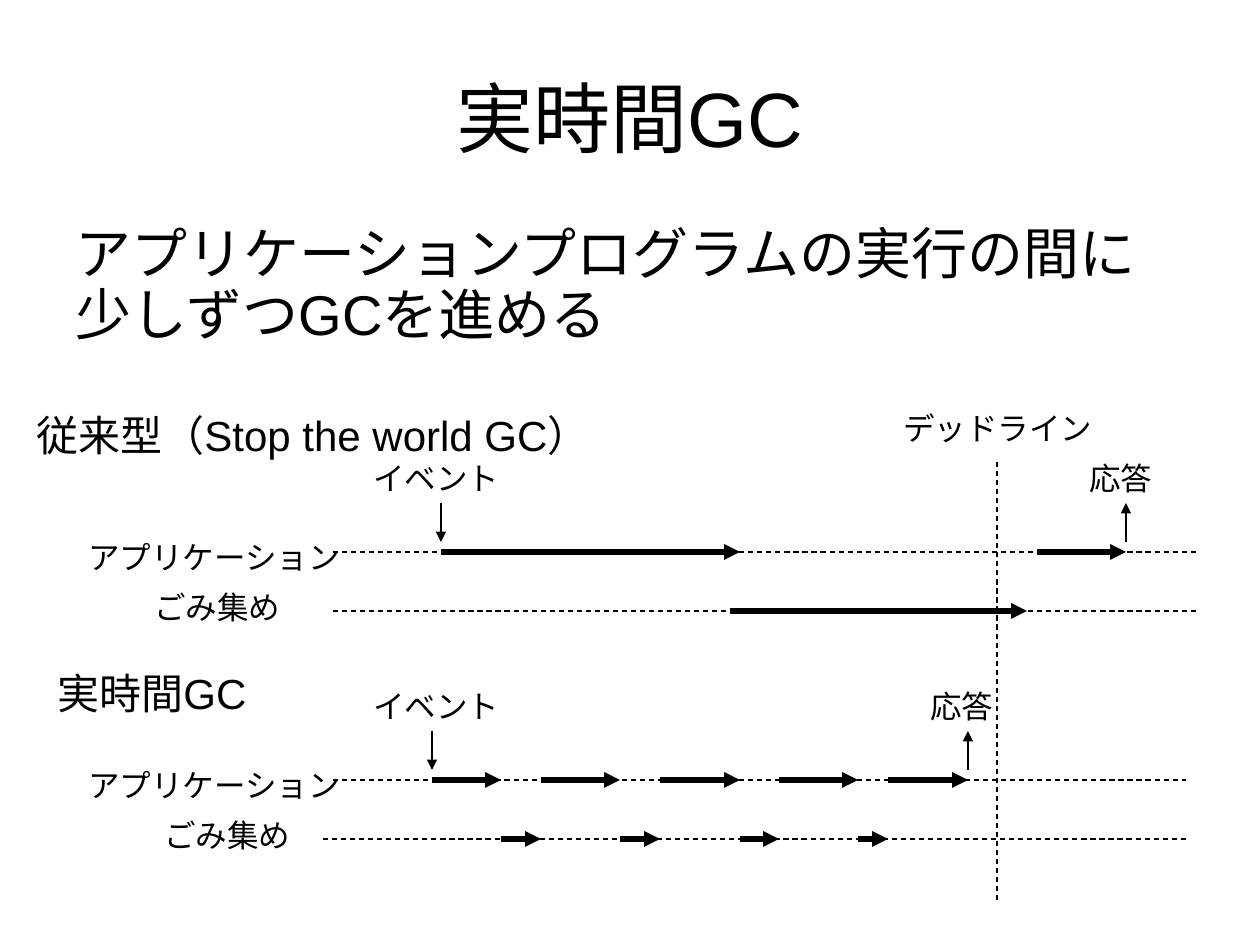
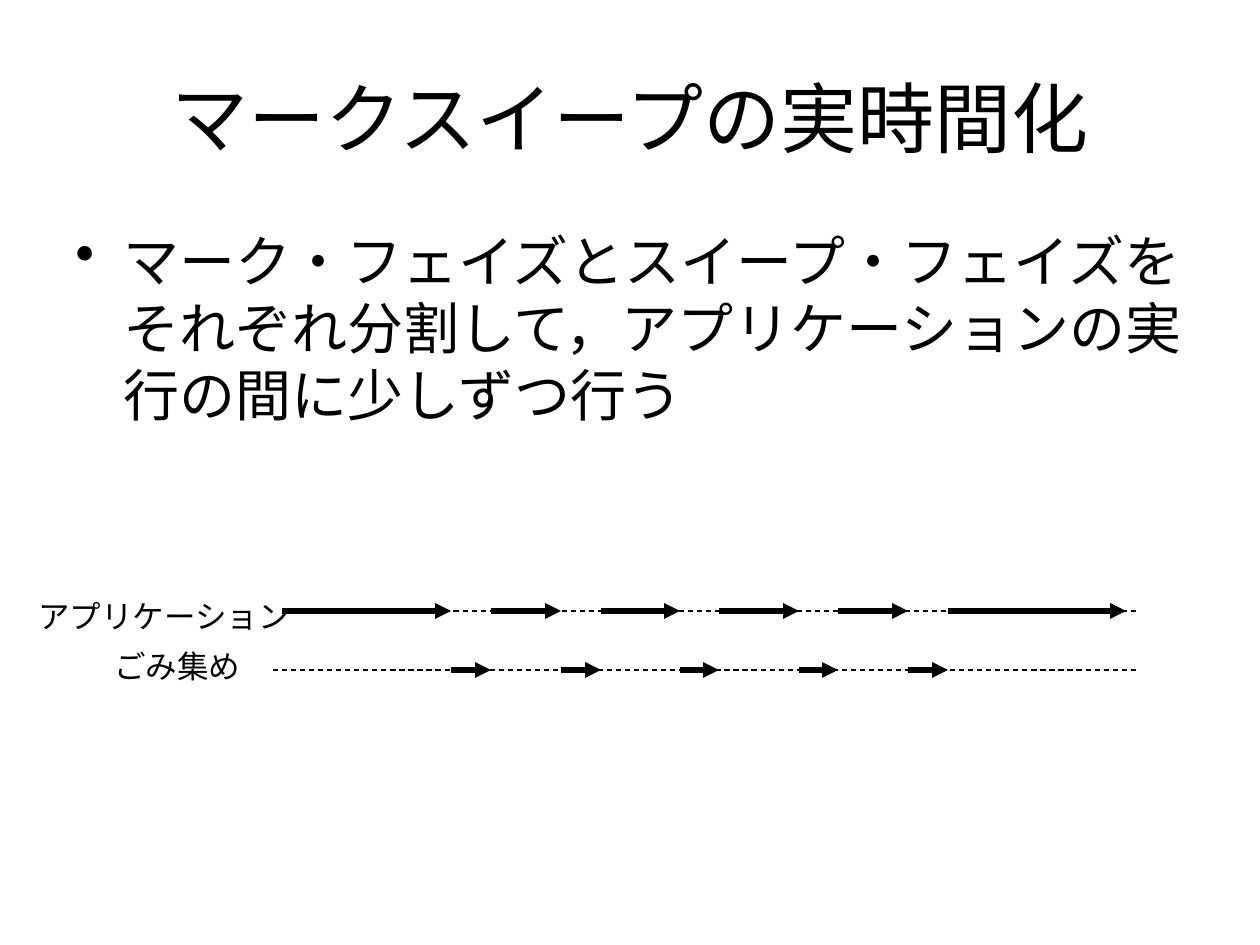
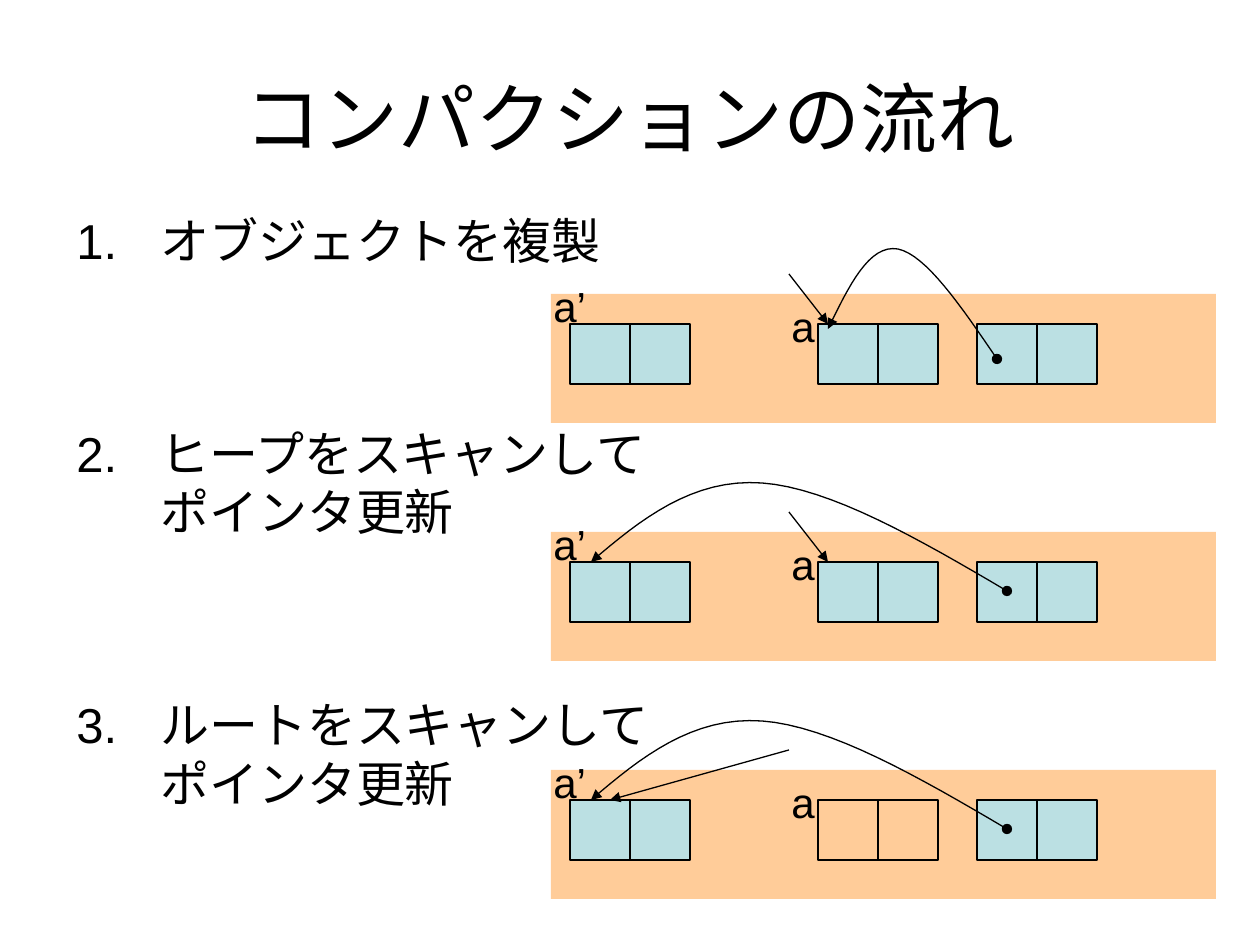
"""Build three slides on real-time garbage collection and compaction."""
from lxml.etree import SubElement as Sub
from pptx import Presentation
from pptx.dml.color import RGBColor as RGB
from pptx.enum.dml import MSO_LINE_DASH_STYLE as Dash
from pptx.enum.shapes import MSO_CONNECTOR as Conn, MSO_SHAPE as Shape
from pptx.enum.text import MSO_ANCHOR as Anchor, MSO_AUTO_SIZE as Auto, PP_ALIGN as Align
from pptx.oxml.ns import qn
from pptx.util import Inches, Pt

PX = 914400 // 126
FONT = "Arial"
HUES = {"ink": "000000", "heap": "FFCC99", "cell": "BBE0E3"}
INK = RGB.from_string(HUES["ink"])


def write(box, text, size, wrap=False):
    """Fill a text shape and format its runs."""
    frame = box.text_frame
    frame.text = text
    frame.word_wrap = wrap
    frame.auto_size = Auto.NONE
    for para in frame.paragraphs:
        for run in para.runs:
            font = run.font
            font.name, font.size = FONT, Pt(size)
            font.color.rgb = INK
            Sub(run._r.get_or_add_rPr(), qn("a:ea"), typeface=FONT)
    return frame


def link(slide, x1, y1, x2, y2, weight=0.75, dash=False):
    """Draw a dashed line or a solid arrow."""
    wire = slide.shapes.add_connector(Conn.STRAIGHT, x1 * PX, y1 * PX, x2 * PX, y2 * PX)
    wire.line.color.rgb = INK
    wire.line.width = Pt(weight)
    props = wire.element.spPr
    if dash:
        wire.line.dash_style = Dash.DASH
    else:
        Sub(props.find(qn("a:ln")), qn("a:tailEnd"), type="triangle")
    Sub(props, qn("a:effectLst"))


deck = Presentation()
deck.slide_width, deck.slide_height = Inches(10), Inches(7.5)

pages = []
for name in ["実時間GC", "マークスイープの実時間化", "コンパクションの流れ"]:
    page = deck.slides.add_slide(deck.slide_layouts[5])
    title = page.shapes.title
    title.left, title.top, title.width, title.height = 63 * PX, 38 * PX, 1134 * PX, 157 * PX
    frame = write(title, name, 44, True)
    frame.vertical_anchor = Anchor.MIDDLE
    frame.paragraphs[0].alignment = Align.CENTER
    pages.append(page)
real, mark, pack = pages

bodies = [
    (real, 63, 220, 142, 32, 0, None, "アプリケーションプログラムの実行の間に\v少しずつGCを進める"),
    (mark, 63, 220, 624, 32, 48, ("a:buChar", {"char": "•"}),
     "マーク・フェイズとスイープ・フェイズをそれぞれ分割して，アプリケーションの実行の間に少しずつ行う"),
    (pack, 64, 204, 624, 28, 84, ("a:buAutoNum", {"type": "arabicPeriod"}),
     "オブジェクトを複製\nヒープをスキャンして\vポインタ更新\nルートをスキャンして\vポインタ更新"),
]
for page, x, y, high, size, dent, sign, text in bodies:
    box = page.shapes.add_textbox(x * PX, y * PX, 1134 * PX, high * PX)
    frame = write(box, text, size, True)
    for i, para in enumerate(frame.paragraphs):
        if sign:
            props = para._p.get_or_add_pPr()
            props.set("marL", str(dent * PX))
            props.set("indent", str(-dent * PX))
            Sub(props, qn(sign[0]), sign[1])
        if i:
            para.space_before = Pt(88)
frame = real.shapes[1].text_frame
frame.paragraphs[0].line_spacing = 0.9

steps = [432, 501, 541, 620, 660, 740, 779, 858, 888, 968]
slots = [282, 451, 491, 561, 601, 680, 719, 799, 838, 908, 948, 1126]
tracks = [
    (real, 552, (333, 333), 1196, (76, 142), [(0, 441, 740), (1, 730, 1027), (0, 1037, 1126)]),
    (real, 780, (333, 323), 1186, (76, 152),
     [(i % 2, *pair) for i, pair in enumerate(zip(steps, steps[1:]))]),
    (mark, 611, (282, 273), 1137, (26, 102),
     [(i % 2, *pair) for i, pair in enumerate(zip(slots, slots[1:]))]),
]
roles = [("アプリケーション", 277, -20), ("ごみ集め", 151, -29)]
for page, top, lefts, right, spots, spans in tracks:
    rows = [top, top + 59]
    for y, left, spot, (role, wide, lift) in zip(rows, lefts, spots, roles):
        link(page, left, y, right, y, dash=True)
        box = page.shapes.add_textbox(spot * PX, (y + lift) * PX, wide * PX, 50 * PX)
        write(box, role, 18)
    for row, start, end in spans:
        link(page, start, rows[row], end, rows[row], 3)

link(real, 997, 462, 997, 900, dash=True)
notes = [
    ("従来型（Stop the world GC）", 24, 403, 599, 24),
    ("実時間GC", 45, 661, 224, 24),
    ("デッドライン", 891, 403, 214, 18),
    ("イベント", 361, 453, 151, 18),
    ("イベント", 361, 681, 151, 18),
    ("応答", 1077, 453, 88, 18),
    ("応答", 918, 681, 88, 18),
]
for text, x, y, wide, size in notes:
    box = real.shapes.add_textbox(x * PX, y * PX, wide * PX, (size * 2 + 14) * PX)
    write(box, text, size)
for top, event, reply in [(552, 441, 1126), (780, 432, 968)]:
    link(real, event, top - 49, event, top - 10)
    link(real, reply, top - 10, reply, top - 49)

near = [(997, 65), (961, 12), (926, -39), (898, -45), (869, -50), (849, -8), (828, 35)]
far = [(1007, 59), (919, 7), (830, -44), (762, -49), (693, -54), (641, -13), (591, 30)]
stages = [(near, 828, "cell"), (far, 828, "cell"), (far, 610, "heap")]
for i, (curve, target, old) in enumerate(stages):
    top = 294 + 238 * i
    rects = [(551, top, 665, 129, "heap")]
    for x, hue in [(570, "cell"), (818, old), (977, "cell")]:
        rects += [(x + 60 * k, top + 30, 60, 60, hue) for k in range(2)]
    for x, y, wide, high, hue in rects:
        rect = pack.shapes.add_shape(Shape.RECTANGLE, x * PX, y * PX, wide * PX, high * PX)
        rect.shadow.inherit = False
        rect.fill.solid()
        rect.fill.fore_color.rgb = RGB.from_string(HUES[hue])
        if wide == high:
            rect.line.color.rgb = INK
            rect.line.width = Pt(0.75)
        else:
            rect.line.fill.background()

    dots = []
    for a, b, c, d in (curve[:4], curve[3:]):
        for t in [n / 16 for n in range(17)]:
            s = 1 - t
            x, y = [s**3 * a[k] + 3 * s * s * t * b[k] + 3 * s * t * t * c[k] + t**3 * d[k]
                    for k in range(2)]
            dots.append((round(x * PX), round((y + top) * PX)))
    pen = pack.shapes.build_freeform(*dots[0])
    pen.add_line_segments(dots[1:], close=False)
    arc = pen.convert_to_shape()
    arc.shadow.inherit = False
    arc.fill.background()
    arc.line.color.rgb = INK
    arc.line.width = Pt(0.75)
    edge = arc.element.spPr.find(qn("a:ln"))
    Sub(edge, qn("a:headEnd"), type="oval")
    Sub(edge, qn("a:tailEnd"), type="triangle")

    link(pack, 789, top - 20, target, top + 30)
    for text, x, y, wide in [("a’", 541, top - 20, 79), ("a", 779, top, 49)]:
        box = pack.shapes.add_textbox(x * PX, y * PX, wide * PX, 63 * PX)
        write(box, text, 24, True)

deck.save("out.pptx")
